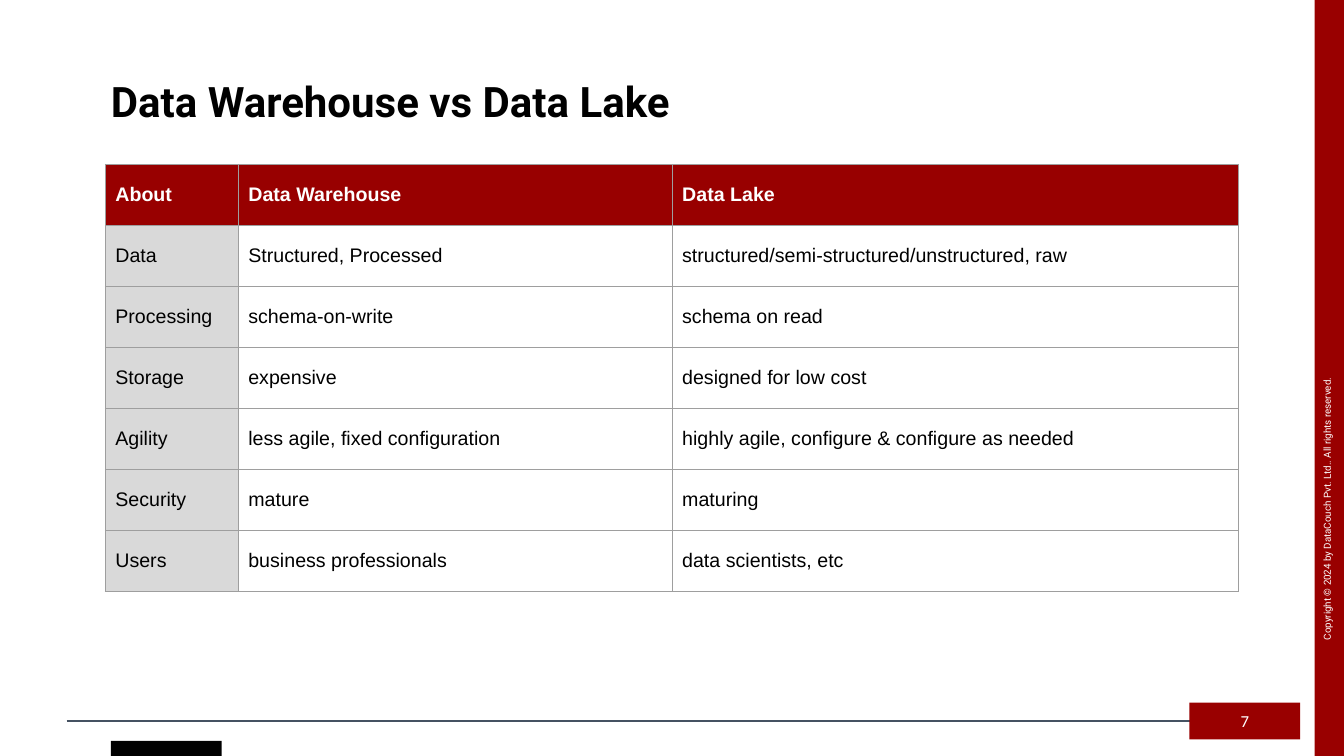
from dataclasses import dataclass

from lxml.etree import SubElement
from pptx import Presentation
from pptx.dml.color import RGBColor
from pptx.enum.shapes import MSO_CONNECTOR, MSO_SHAPE
from pptx.enum.text import MSO_ANCHOR, PP_ALIGN
from pptx.oxml import parse_xml
from pptx.oxml.ns import nsdecls, qn
from pptx.util import Pt

RED, HEADER_RED, GREY, BORDER = "990000", "980000", "D9D9D9", "9E9E9E"
BLACK, WHITE = "000000", "FFFFFF"


@dataclass
class Box:
    left: float
    top: float
    width: float
    height: float

    def lengths(self) -> tuple:
        return Pt(self.left), Pt(self.top), Pt(self.width), Pt(self.height)


@dataclass
class Block:
    box: Box
    color: str


@dataclass
class TextStyle:
    font: str
    size: float
    color: str
    bold: bool = False


def set_color(color_format, hex_color: str) -> None:
    color_format.rgb = RGBColor.from_string(hex_color)


def set_fill(target, hex_color: str) -> None:
    target.fill.solid()
    set_color(target.fill.fore_color, hex_color)


def apply_format(target, values: dict) -> None:
    for name, value in values.items():
        setattr(target, name, value)


def margins(side: float, end: float) -> dict:
    return {"margin_left": Pt(side), "margin_right": Pt(side),
            "margin_top": Pt(end), "margin_bottom": Pt(end)}


def write(frame, text: str, style: TextStyle, **paragraph_format) -> None:
    paragraph = frame.paragraphs[0]
    apply_format(paragraph, paragraph_format)
    run = paragraph.add_run()
    run.text = text
    apply_format(run.font, {"name": style.font, "size": Pt(style.size), "bold": style.bold})
    set_color(run.font.color, style.color)


def draw_block(slide, block: Block):
    shape = slide.shapes.add_shape(MSO_SHAPE.RECTANGLE, *block.box.lengths())
    shape.shadow.inherit = False
    set_fill(shape, block.color)
    shape.line.fill.background()
    return shape


def set_borders(cell, hex_color: str, width: float) -> None:
    properties = cell._tc.get_or_add_tcPr()
    for index, side in enumerate(("lnL", "lnR", "lnT", "lnB")):
        properties.insert(index, parse_xml(
            f'<a:{side} {nsdecls("a")} w="{Pt(width)}"><a:solidFill>'
            f'<a:srgbClr val="{hex_color}"/></a:solidFill></a:{side}>'))


def draw_comparison(slide, box: Box, widths: list[float], rows: list[tuple]) -> None:
    table = slide.shapes.add_table(len(rows), len(widths), *box.lengths()).table
    apply_format(table, {"first_row": False, "horz_banding": False})
    for column, width in zip(table.columns, widths):
        column.width = Pt(width)
    for row_index, row in enumerate(rows):
        is_header = row_index == 0
        style = TextStyle("Arial", 14, WHITE if is_header else BLACK, is_header)
        for column_index, text in enumerate(row):
            cell = table.cell(row_index, column_index)
            apply_format(cell, {"vertical_anchor": MSO_ANCHOR.MIDDLE, **margins(7.2, 7.2)})
            if is_header:
                set_fill(cell, HEADER_RED)
            elif column_index == 0:
                set_fill(cell, GREY)
            else:
                cell.fill.background()
            set_borders(cell, BORDER, 0.75)
            write(cell.text_frame, text, style)


def main() -> None:
    presentation = Presentation()
    apply_format(presentation, {"slide_width": Pt(960), "slide_height": Pt(540)})
    slide = presentation.slides.add_slide(presentation.slide_layouts[5])

    # Page frame: side strip and footer tab
    for block in (Block(Box(939, 0, 21, 540), RED),
                  Block(Box(79.2, 529.2, 79.2, 10.8), BLACK)):
        draw_block(slide, block)

    # Copyright line, read upwards along the strip
    copyright_line = slide.shapes.add_textbox(*Box(797, 301.7, 303.1, 7.9).lengths())
    copyright_line.rotation = 270
    apply_format(copyright_line.text_frame, {"word_wrap": True, **margins(0, 0)})
    write(copyright_line.text_frame,
          "Copyright © 2024 by DataCouch Pvt. Ltd.. All rights reserved.",
          TextStyle("Roboto", 7, WHITE), line_spacing=0.9)

    # Footer rule and page number
    footer_rule = slide.shapes.add_connector(
        MSO_CONNECTOR.STRAIGHT, Pt(47.7), Pt(515), Pt(928.8), Pt(515))
    SubElement(footer_rule._element.spPr, qn("a:effectLst"))
    set_color(footer_rule.line.color, "455262")
    footer_rule.line.width = Pt(0.75)
    page_number = draw_block(slide, Block(Box(849.6, 501.8, 79.2, 26.4), RED))
    footer_rule.end_connect(page_number, 3)
    apply_format(page_number.text_frame,
                 {"vertical_anchor": MSO_ANCHOR.MIDDLE, **margins(7.2, 3.6)})
    write(page_number.text_frame, "7", TextStyle("Calibri", 12, WHITE),
          alignment=PP_ALIGN.CENTER)

    # Title
    title = slide.shapes.title
    left, top, width, height = Box(79.2, 52.6, 781.2, 43.9).lengths()
    apply_format(title, {"left": left, "top": top, "width": width, "height": height})
    apply_format(title.text_frame, {"vertical_anchor": MSO_ANCHOR.MIDDLE,
                                    "word_wrap": True, **margins(0, 0)})
    write(title.text_frame, "Data Warehouse vs Data Lake",
          TextStyle("Roboto", 30, BLACK, True),
          alignment=PP_ALIGN.LEFT, line_spacing=0.9)

    # Comparison table
    column_widths = [95, 309.9, 404.5]
    comparison = [
        ("About", "Data Warehouse", "Data Lake"),
        ("Data", "Structured, Processed", "structured/semi-structured/unstructured, raw"),
        ("Processing", "schema-on-write", "schema on read"),
        ("Storage", "expensive", "designed for low cost"),
        ("Agility", "less agile, fixed configuration",
         "highly agile, configure & configure as needed"),
        ("Security", "mature", "maturing"),
        ("Users", "business professionals", "data scientists, etc"),
    ]
    draw_comparison(slide, Box(75.2, 117.4, sum(column_widths), 43.6 * len(comparison)),
                    column_widths, comparison)

    presentation.save("out.pptx")


if __name__ == "__main__":
    main()
